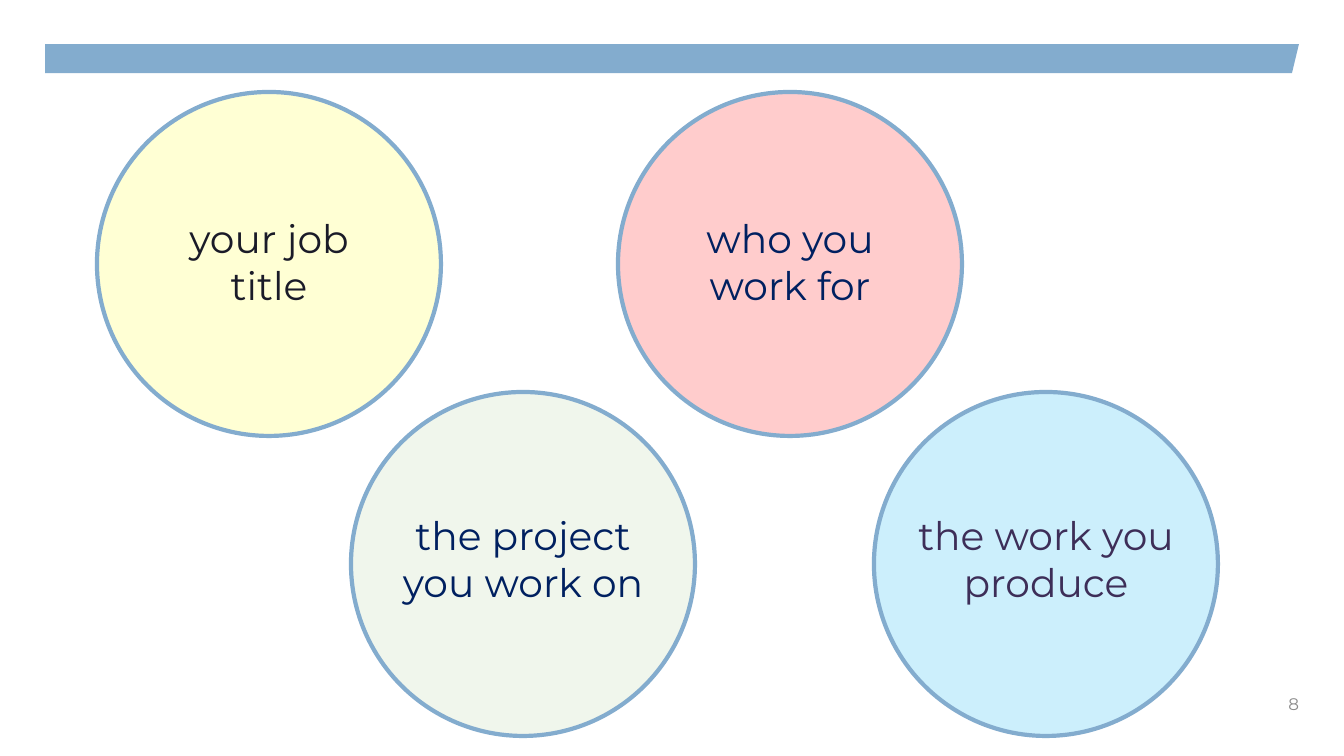
"""Build a slide of four tinted circles, each naming one thing to say about a job."""
from pptx import Presentation
from pptx.dml.color import RGBColor
from pptx.enum.shapes import MSO_SHAPE
from pptx.enum.text import MSO_ANCHOR, PP_ALIGN
from pptx.oxml.ns import qn
from pptx.util import Pt
from lxml.etree import SubElement

PX = 12192000 / 1344
THEME = {
    "font": "Montserrat", "body": 28, "small": 12, "line": 3,
    "blue": "83ACCE", "grey": "8C8C8C", "ink": "1A1B28",
    "navy": "002060", "plum": "3D2E58",
    "yellow": "FFFF00", "red": "FF0000", "sky": "00B0F0", "green": "70AD47",
}
SIZE = 344


def color(name):
    return RGBColor.from_string(THEME[name])


def label(text, box, size, tone, align):
    frame = slide.shapes.add_textbox(*[round(n * PX) for n in box]).text_frame
    frame.word_wrap = True
    frame.margin_left = frame.margin_right = 0
    frame.margin_top = frame.margin_bottom = 0
    para = frame.paragraphs[0]
    para.alignment = align
    run = para.add_run()
    run.text = text
    run.font.name = THEME["font"]
    run.font.size = Pt(THEME[size])
    run.font.color.rgb = color(tone)
    return frame


deck = Presentation()
deck.slide_width = round(1344 * PX)
deck.slide_height = round(756 * PX)
slide = deck.slides.add_slide(deck.slide_layouts[6])

pen = slide.shapes.build_freeform(45, 44, scale=PX)
pen.add_line_segments([(1299, 44), (1292, 73), (45, 73)], close=True)
bar = pen.convert_to_shape()
bar.shadow.inherit = False
bar.fill.solid()
bar.fill.fore_color.rgb = color("blue")
bar.line.fill.background()

page = label("8", (997, 684, 302, 40), "small", "grey", PP_ALIGN.RIGHT)
page.vertical_anchor = MSO_ANCHOR.MIDDLE

topics = [
    ("your job title", 97, 92, "yellow", 17, "ink", 122, 172, 87),
    ("who you work for", 618, 92, "red", 20, "navy", 122, 172, 100),
    ("the work you produce", 874, 392, "sky", 20, "plum", 119, 258, 87),
    ("the project you work on", 351, 392, "green", 10, "navy", 119, 256, 153),
]
for text, left, top, tint, alpha, tone, drop, width, height in topics:
    disc = slide.shapes.add_shape(
        MSO_SHAPE.OVAL, *[round(n * PX) for n in (left, top, SIZE, SIZE)])
    disc.shadow.inherit = False
    disc.fill.solid()
    disc.fill.fore_color.rgb = color(tint)
    shade = disc.fill._xPr.find(qn("a:solidFill"))[0]
    SubElement(shade, qn("a:alpha")).set("val", str(alpha * 1000))
    disc.line.color.rgb = color("blue")
    disc.line.width = Pt(THEME["line"])

for text, left, top, tint, alpha, tone, drop, width, height in topics:
    box = (left + (SIZE - width) / 2, top + drop, width, height)
    label(text, box, "body", tone, PP_ALIGN.CENTER)

deck.save("out.pptx")
